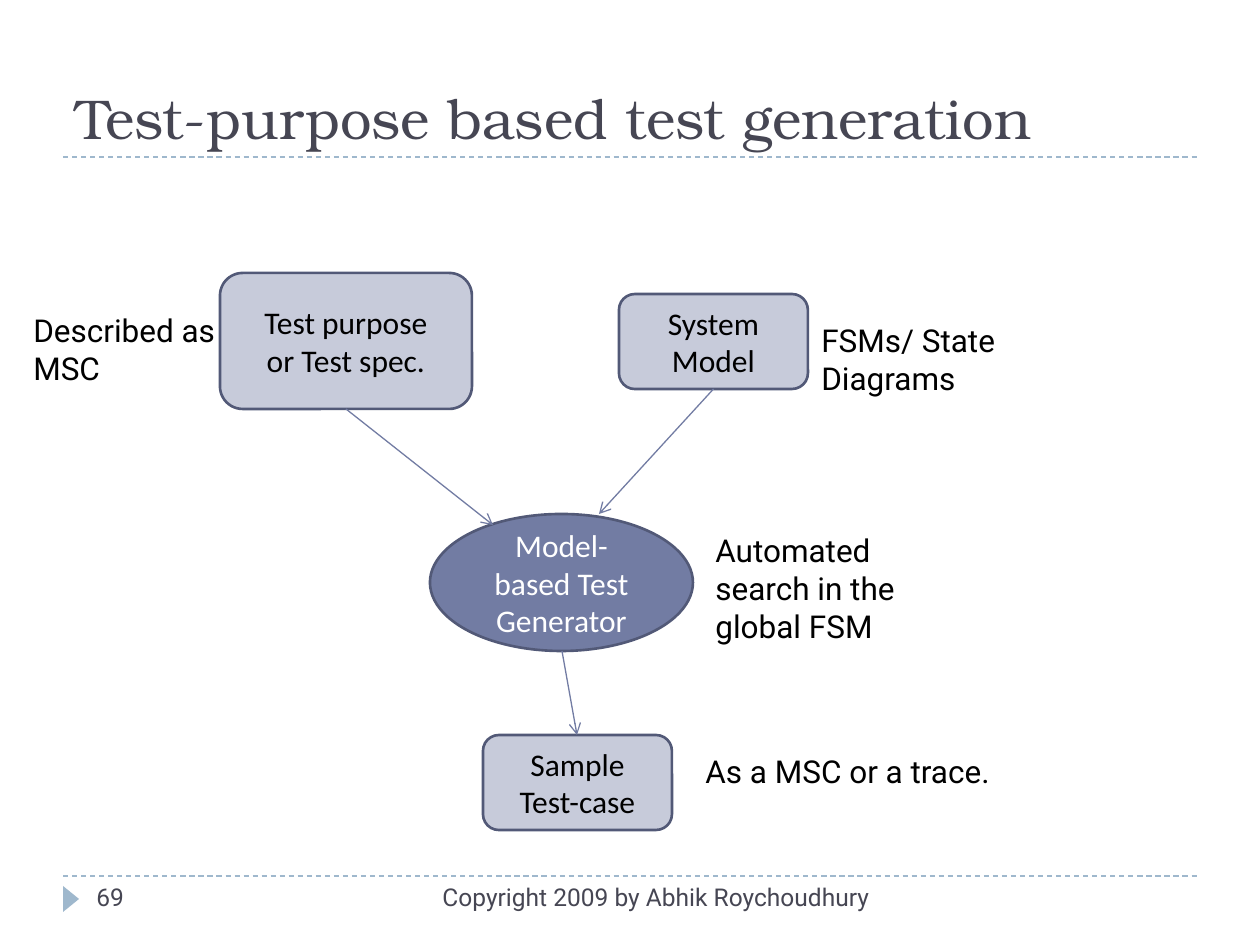
from dataclasses import dataclass

from lxml.etree import SubElement
from pptx import Presentation
from pptx.dml.color import RGBColor
from pptx.enum.dml import MSO_LINE
from pptx.enum.shapes import MSO_CONNECTOR, MSO_SHAPE
from pptx.enum.text import MSO_ANCHOR as Anchor, MSO_AUTO_SIZE as AutoSize, PP_ALIGN as Align
from pptx.oxml.ns import qn
from pptx.util import Pt

PX = 914400 / 126
BOTTOM = 2  # connection site of a rectangle


@dataclass(frozen=True)
class Theme:
    heading: str = "464653"
    ink: str = "000000"
    white: str = "FFFFFF"
    rule: str = "9FB8CD"
    box: str = "C7CBDA"
    accent: str = "727CA3"
    border: str = "525977"
    title_font: str = "TeX Gyre Bonum"
    node_font: str = "Calibri"
    note_font: str = "Roboto"
    title_size: int = 32
    body_size: int = 18
    footer_size: int = 14


THEME = Theme()


def px(*lengths):
    return [round(length * PX) for length in lengths]


def rgb(color):
    return RGBColor.from_string(color)


def write(shape, text, font, size, color, align=Align.LEFT, anchor=Anchor.TOP):
    frame = shape.text_frame
    frame.text = text
    frame.word_wrap = True
    frame.auto_size = AutoSize.NONE
    frame.vertical_anchor = anchor
    for paragraph in frame.paragraphs:
        paragraph.alignment = align
        paragraph.font.name = font
        paragraph.font.size = Pt(size)
        paragraph.font.color.rgb = rgb(color)


def add_title(slide, text, box):
    title = slide.shapes.title
    title.left, title.top, title.width, title.height = px(*box)
    write(title, text, THEME.title_font, THEME.title_size, THEME.heading,
          anchor=Anchor.BOTTOM)


def add_label(slide, text, box, size=THEME.body_size, color=THEME.ink, align=Align.LEFT):
    label = slide.shapes.add_textbox(*px(*box))
    write(label, text, THEME.note_font, size, color, align)


def add_node(slide, text, box, kind=MSO_SHAPE.ROUNDED_RECTANGLE,
             fill=THEME.box, color=THEME.ink):
    node = slide.shapes.add_shape(kind, *px(*box))
    node.shadow.inherit = False
    node.fill.solid()
    node.fill.fore_color.rgb = rgb(fill)
    node.line.color.rgb = rgb(THEME.border)
    node.line.width = Pt(1.5)
    write(node, text, THEME.node_font, THEME.body_size, color, Align.CENTER, Anchor.MIDDLE)
    return node


def add_line(slide, start, end, color):
    line = slide.shapes.add_connector(MSO_CONNECTOR.STRAIGHT, *px(*start, *end))
    line.line.color.rgb = rgb(color)
    line.line.width = Pt(0.75)
    SubElement(line._element.spPr, qn("a:effectLst"))
    return line


def add_rule(slide, y):
    add_line(slide, (63, y), (1197, y), THEME.rule).line.dash_style = MSO_LINE.DASH


def add_arrow(slide, start, end):
    arrow = add_line(slide, start, end, THEME.accent)
    SubElement(arrow.line._get_or_add_ln(), qn("a:tailEnd"), type="arrow")
    return arrow


def add_page_marker(slide, box):
    marker = slide.shapes.add_shape(MSO_SHAPE.ISOSCELES_TRIANGLE, *px(*box))
    marker.rotation = 90
    marker.shadow.inherit = False
    marker.fill.solid()
    marker.fill.fore_color.rgb = rgb(THEME.rule)
    marker.line.fill.background()


def main():
    deck = Presentation()
    deck.slide_width, deck.slide_height = px(1260, 945)
    slide = deck.slides.add_slide(deck.slide_layouts[5])

    # Frame: rules, title and footer
    add_rule(slide, 876)
    add_rule(slide, 157)
    add_page_marker(slide, (58, 891, 26, 16))
    add_title(slide, "Test-purpose based test generation", (63, 21, 1134, 136))
    add_label(slide, "Copyright 2009 by Abhik Roychoudhury", (399, 876, 483, 50),
              THEME.footer_size, THEME.heading, Align.RIGHT)
    add_label(slide, "69", (84, 876, 273, 50), THEME.footer_size, THEME.heading)

    # Flow nodes
    purpose = add_node(slide, "Test purpose\nor Test spec.", (220, 273, 252, 136))
    model = add_node(slide, "System Model", (619, 294, 189, 95))
    add_node(slide, "Model-based Test Generator", (430, 514, 263, 137),
             MSO_SHAPE.OVAL, THEME.accent, THEME.white)
    add_node(slide, "Sample\nTest-case", (483, 735, 189, 95))

    # Arrows into and out of the generator
    add_arrow(slide, (346, 409), (493, 525)).begin_connect(purpose, BOTTOM)
    add_arrow(slide, (714, 389), (599, 514)).begin_connect(model, BOTTOM)
    add_arrow(slide, (562, 651), (577, 735))

    # Notes beside the nodes
    notes = [
        ("Described as MSC", (21, 305, 242, 88)),
        ("FSMs/ State Diagrams", (809, 315, 305, 88)),
        ("Automated search in the global FSM", (703, 525, 262, 126)),
        ("As a MSC or a trace.", (693, 746, 347, 50)),
    ]
    for text, box in notes:
        add_label(slide, text, box)

    deck.save("out.pptx")


if __name__ == "__main__":
    main()
